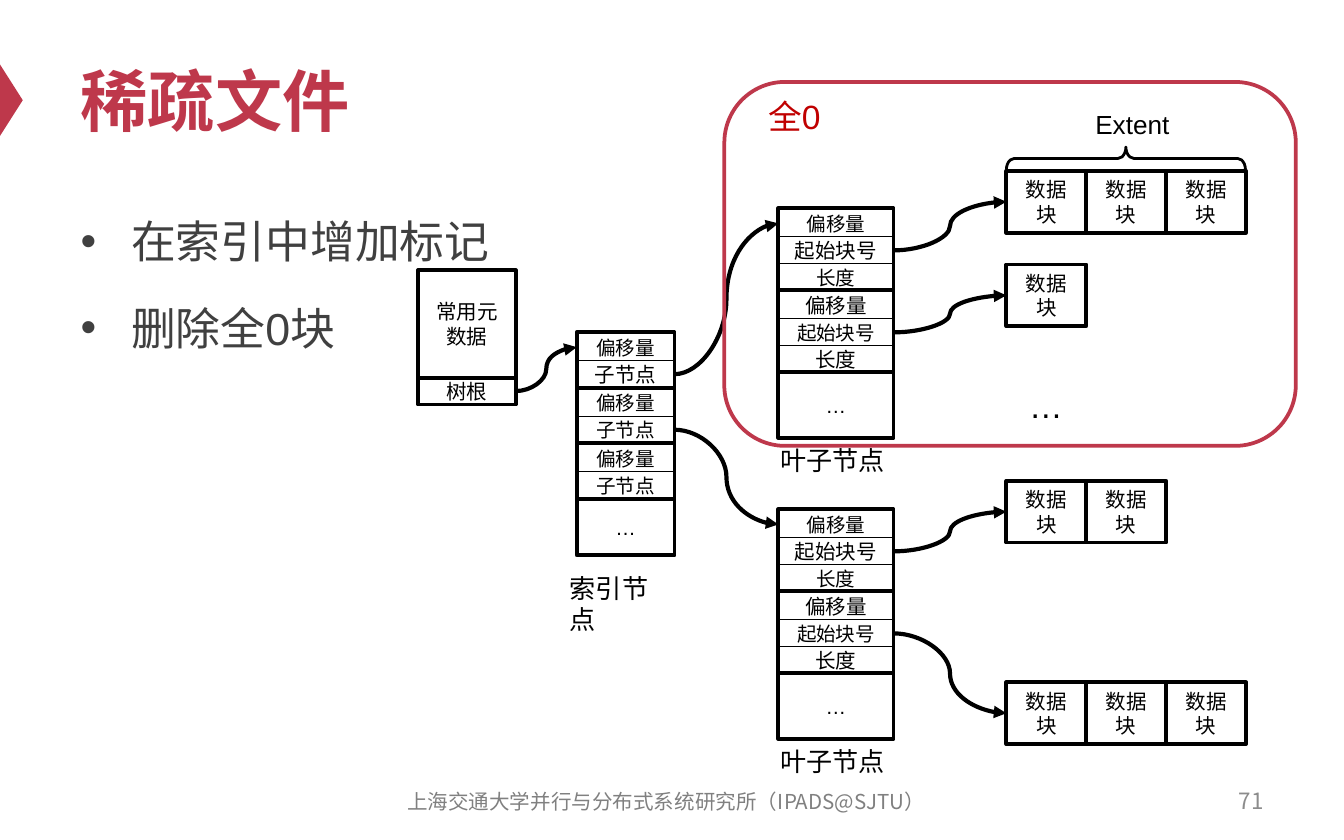
from typing import NamedTuple

from lxml import etree
from pptx import Presentation
from pptx.dml.color import RGBColor
from pptx.enum.shapes import MSO_CONNECTOR, MSO_SHAPE
from pptx.enum.text import MSO_ANCHOR, PP_ALIGN
from pptx.oxml.ns import qn
from pptx.util import Cm, Pt

RECTANGLE, ROUNDED = MSO_SHAPE.RECTANGLE, MSO_SHAPE.ROUNDED_RECTANGLE
TRIANGLE, BRACE = MSO_SHAPE.ISOSCELES_TRIANGLE, MSO_SHAPE.RIGHT_BRACE
CURVE = MSO_CONNECTOR.CURVE
LEFT, CENTER, RIGHT = PP_ALIGN.LEFT, PP_ALIGN.CENTER, PP_ALIGN.RIGHT
TOP, MIDDLE = MSO_ANCHOR.TOP, MSO_ANCHOR.MIDDLE
LEFT_SIDE, RIGHT_SIDE = 1, 3

RED, BLACK, WHITE = "BE384B", "000000", "FFFFFF"
LATIN, CHINESE = "Arial", "Noto Sans CJK SC"
ROW = 0.51


class Box(NamedTuple):
    """A rectangle in centimetres."""
    left: float
    top: float
    width: float
    height: float

    def inner(self, left, top, width, height):
        """Return a box placed relative to this one."""
        return Box(self.left + left, self.top + top, width, height)

    def lengths(self):
        """Return the four values as lengths."""
        return [Cm(value) for value in self]


def color(value):
    """Turn a hex string into a colour."""
    return RGBColor.from_string(value)


def apply_format(target, values):
    """Set each named attribute on the target."""
    for name, value in values.items():
        setattr(target, name, value)


def move(shape, box):
    """Give a shape the position and size of a box."""
    shape.left, shape.top, shape.width, shape.height = box.lengths()


def write(shape, lines, size, text_color=BLACK, font=LATIN, bold=False,
          paragraph_format=None, frame_format=None):
    """Fill a shape with formatted paragraphs and return it."""
    frame = shape.text_frame
    frame.text = "\n".join(lines)
    apply_format(frame, {"word_wrap": True, **(frame_format or {})})
    for paragraph in frame.paragraphs:
        apply_format(paragraph, paragraph_format or {})
        for run in paragraph.runs:
            apply_format(run.font, {"size": Pt(size), "name": font, "bold": bold})
            run.font.color.rgb = color(text_color)
            properties = run._r.get_or_add_rPr()
            etree.SubElement(properties, qn("a:ea"), typeface=font)
    return shape


def add_label(slide, box, text, size, text_color=BLACK, font=LATIN,
              alignment=LEFT, anchor=TOP, wrap=True):
    """Add a text box."""
    return write(slide.shapes.add_textbox(*box.lengths()), [text], size,
                 text_color, font, False, {"alignment": alignment},
                 {"vertical_anchor": anchor, "word_wrap": wrap})


def add_figure(slide, kind, box, fill=None, line=None, width=2):
    """Add a preset shape with a plain fill and outline."""
    shape = slide.shapes.add_shape(kind, *box.lengths())
    shape.shadow.inherit = False
    if fill:
        shape.fill.solid()
        shape.fill.fore_color.rgb = color(fill)
    else:
        shape.fill.background()
    if line:
        shape.line.color.rgb = color(line)
        shape.line.width = Pt(width)
    else:
        shape.line.fill.background()
    return shape


def add_cell(slide, box, text, size=11, width=2, fill=WHITE):
    """Add an outlined rectangle with centred text."""
    shape = add_figure(slide, RECTANGLE, box, fill, BLACK, width)
    return write(shape, [text], size, paragraph_format={"alignment": CENTER},
                 frame_format={"vertical_anchor": MIDDLE})


def add_arrow(slide, source, target):
    """Join the right side of one cell to the left side of another."""
    connector = slide.shapes.add_connector(CURVE, 0, 0, 0, 0)
    connector.begin_connect(source, RIGHT_SIDE)
    connector.end_connect(target, LEFT_SIDE)
    connector.line.color.rgb = color(BLACK)
    connector.line.width = Pt(2.25)
    properties = connector._element.spPr
    etree.SubElement(properties.find(qn("a:ln")), qn("a:tailEnd"), type="triangle")
    etree.SubElement(properties, qn("a:effectLst"))


def draw_heading(slide, box):
    """Place the title and the marker at the slide's edge."""
    marker = add_figure(slide, TRIANGLE, box.inner(-1.73, 1.04, 1.35, 0.43), RED)
    marker.rotation = 90
    title = slide.shapes.title
    move(title, box)
    write(title, ["稀疏文件"], 36, RED, bold=True,
          paragraph_format={"alignment": LEFT},
          frame_format={"vertical_anchor": MIDDLE})


def draw_points(slide, box):
    """Place the bulleted list."""
    body = slide.placeholders[1]
    move(body, box)
    write(body, ["在索引中增加标记", "删除全0块"], 24, "404040",
          paragraph_format={"line_spacing": 1.2, "space_before": Pt(12)})
    body.text_frame.paragraphs[0].space_before = Pt(0)


def draw_footer(slide, box):
    """Place the institute's name and the page number."""
    add_label(slide, box.inner(0, 0, 11, 0.84), "上海交通大学并行与分布式系统研究所（IPADS@SJTU）",
              11, "808080", CHINESE, CENTER, MIDDLE)
    add_label(slide, box.inner(box.width - 5.92, -0.02, 5.92, 0.84), "71",
              12, "8C8C8C", CHINESE, RIGHT, MIDDLE)


def draw_inode(slide, box):
    """Draw the inode and return its root cell."""
    add_cell(slide, box.inner(0, 0, box.width, box.height - ROW), "常用元数据")
    return add_cell(slide, box.inner(0, box.height - ROW, box.width, ROW), "树根")


def draw_node(slide, box, labels, sizes, pitch):
    """Draw framed groups of rows with a remainder and return the rows."""
    rows = []
    group_count = len(sizes) // len(labels)
    for index, size in enumerate(sizes):
        group, row = divmod(index, len(labels))
        place = box.inner(0, 0.03 + group * pitch + row * ROW, box.width, ROW)
        rows.append(add_cell(slide, place, labels[row], size, 0.5))
    for group in range(group_count):
        add_figure(slide, RECTANGLE, box.inner(0, group * pitch, box.width, pitch), None, BLACK)
    used = group_count * pitch
    add_cell(slide, box.inner(0, used, box.width, box.height - used), "…", fill=None)
    return rows


def draw_leaf(slide, box):
    """Draw a leaf node with its caption and return its rows."""
    rows = draw_node(slide, box, ["偏移量", "起始块号", "长度"], [10.5, 11] * 3, 1.55)
    add_label(slide, box.inner(-0.21, box.height, 2.49, 0.86), "叶子节点", 14, wrap=False)
    return rows


def draw_extent(slide, box, count):
    """Draw adjoining data blocks and return the first."""
    blocks = [add_cell(slide, box.inner(index * box.width, 0, box.width, box.height), "数据块")
              for index in range(count)]
    return blocks[0]


def draw_brace(slide, box):
    """Draw the named brace that spans the top extent."""
    thickness = 0.43
    place = box.inner((box.width - thickness) / 2,
                      box.height - (thickness + box.width) / 2, thickness, box.width)
    brace = add_figure(slide, BRACE, place, None, BLACK, 1.5)
    brace.rotation = 270
    brace.adjustments[0] = 0.347
    add_label(slide, box.inner(1.43, 0, 2.41, 0.86), "Extent", 14)


def draw_zero_region(slide, box):
    """Outline and name the region of the tree that is all zero."""
    add_figure(slide, ROUNDED, box, None, RED)
    add_label(slide, box.inner(0.58, 0.13, 1.5, 1.02), "全0", 18, "C00000")


def draw_tree(slide, box):
    """Draw the index tree from the inode to the data blocks."""
    root = draw_inode(slide, box.inner(0, 1.88, 1.85, 2.54))
    index_rows = draw_node(slide, box.inner(3, 3.05, 1.85, 4.22), ["偏移量", "子节点"],
                           [10.5, 11] + [10.5] * 4, 1.05)
    add_label(slide, box.inner(2.62, 7.46, 2.39, 0.81), "索引节点", 14)
    add_arrow(slide, root, index_rows[0])
    extents = [draw_extent(slide, box.inner(11.12, top, 1.51, 1.17), count)
               for top, count in [(0, 3), (1.77, 1), (5.86, 2), (9.67, 3)]]
    draw_brace(slide, box.inner(11.12, -1.3, 4.52, 1.28))
    for leaf, (top, parent) in enumerate([(0.71, 1), (6.4, 3)]):
        rows = draw_leaf(slide, box.inner(6.81, top, 2.18, 4.34))
        add_arrow(slide, index_rows[parent], rows[0])
        for source, extent in zip(rows[1::3], extents[2 * leaf:]):
            add_arrow(slide, source, extent)
    add_label(slide, box.inner(11.3, 3.93, 1.14, 1.02), "…", 18, wrap=False)


def main():
    """Build the presentation and save it."""
    presentation = Presentation()
    apply_format(presentation, {"slide_width": Cm(25.4), "slide_height": Cm(15.88)})
    slide = presentation.slides.add_slide(presentation.slide_layouts[1])
    draw_heading(slide, Box(1.27, 0.64, 22.86, 2.49))
    draw_footer(slide, Box(7.09, 14.73, 17.04, 0.84))
    draw_points(slide, Box(1.27, 3.71, 22.86, 10.46))
    draw_tree(slide, Box(7.9, 3.23, 15.65, 11.6))
    draw_zero_region(slide, Box(13.69, 1.55, 10.8, 6.88))
    presentation.save("out.pptx")


if __name__ == "__main__":
    main()
